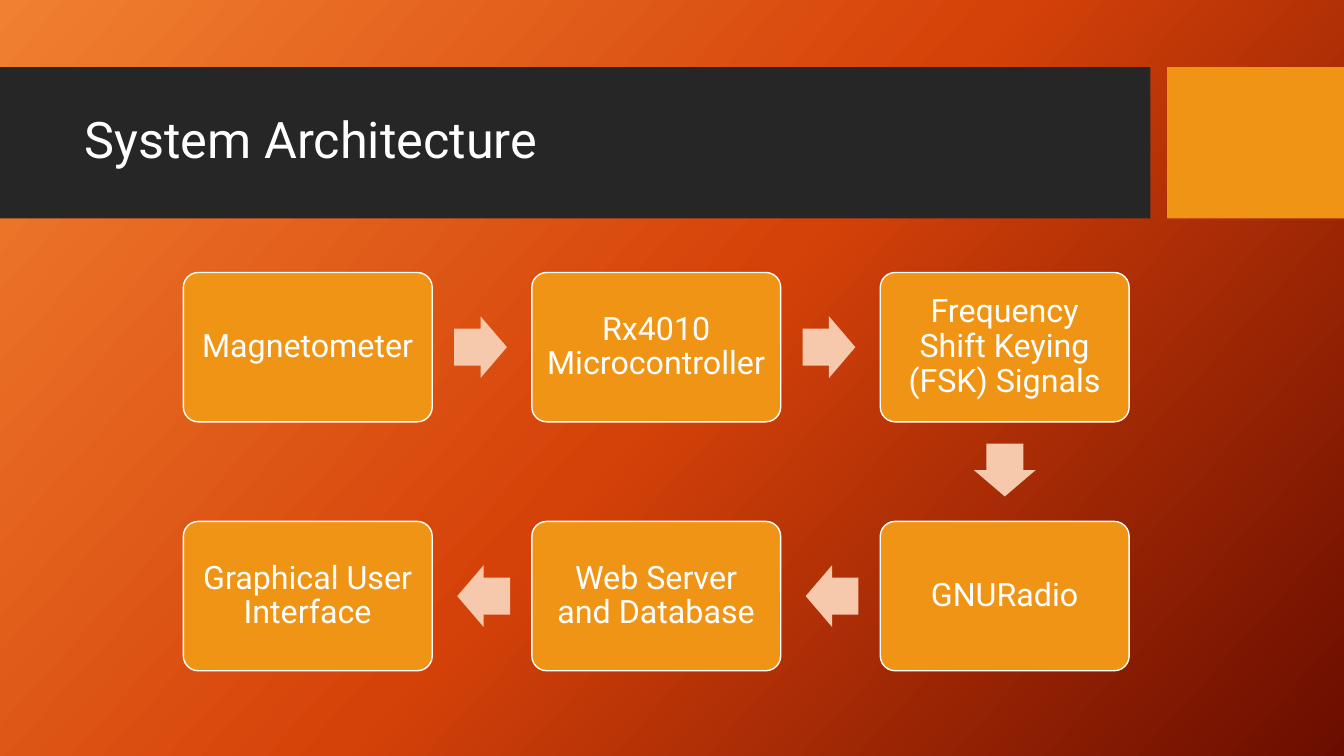
"""Build the System Architecture slide: a six-step flow that snakes across two rows."""
from copy import deepcopy
from dataclasses import dataclass

from pptx import Presentation
from pptx.dml.color import RGBColor
from pptx.enum.shapes import MSO_SHAPE
from pptx.enum.text import MSO_ANCHOR, PP_ALIGN
from pptx.util import Pt

RECTANGLE = MSO_SHAPE.RECTANGLE
ROUNDED = MSO_SHAPE.ROUNDED_RECTANGLE
ARROW = MSO_SHAPE.RIGHT_ARROW
MIDDLE = MSO_ANCHOR.MIDDLE
LEFT, CENTER = PP_ALIGN.LEFT, PP_ALIGN.CENTER

TITLE = "System Architecture"
STEPS = [
    ("Magnetometer", 0, 0),
    ("Rx4010 Microcontroller", 1, 0),
    ("Frequency Shift Keying (FSK) Signals", 2, 0),
    ("GNURadio", 2, 1),
    ("Web Server and Database", 1, 1),
    ("Graphical User Interface", 0, 1),
]


@dataclass(frozen=True)
class Theme:
    """Colours, font and type sizes of the slide."""
    banner: str = "262626"
    accent: str = "F09415"
    arrow: str = "F6C8AC"
    white: str = "FFFFFF"
    gradient: tuple = ((0, "F18031"), (0.5, "D54209"), (1, "6A0D00"))
    gradient_angle: int = 42
    font: str = "Roboto"
    title_size: int = 36
    step_size: int = 23


THEME = Theme()
SLIDE_WIDTH, SLIDE_HEIGHT = 960, 540
BANNER_TOP, BANNER_HEIGHT = 48, 108
BANNER_WIDTH, TAB_LEFT = 821.8, 833.6
TITLE_BOX = (53.3, 59.2, 756.7, 85)
BOX_WIDTH, BOX_HEIGHT = 177.8, 106.7
FIRST_CENTER_X, FIRST_CENTER_Y = 219.9, 248
COLUMN_PITCH, ROW_PITCH = 248.9, 177.8
ARROW_LENGTH, ARROW_BREADTH, ARROW_GAP = 37.7, 44.1, 15.6
TURNS = {(1, 0): 0, (0, 1): 90, (-1, 0): 180}


def paint_background(slide):
    """Fill the slide with the three-stop gradient."""
    fill = slide.background.fill
    fill.gradient()
    stop_list = slide.element.xpath(".//p:bg//a:gsLst")[0]
    stop_list.append(deepcopy(stop_list[-1]))
    for stop, (position, color) in zip(fill.gradient_stops, THEME.gradient):
        stop.position = position
        stop.color.rgb = RGBColor.from_string(color)
    fill.gradient_angle = 360 - THEME.gradient_angle


def add_block(slide, kind, left, top, width, height, color, outline=None):
    """Add a flat preset shape measured in points."""
    shape = slide.shapes.add_shape(kind, Pt(left), Pt(top), Pt(width), Pt(height))
    shape.shadow.inherit = False
    shape.fill.solid()
    shape.fill.fore_color.rgb = RGBColor.from_string(color)
    if outline:
        shape.line.color.rgb = RGBColor.from_string(outline)
        shape.line.width = Pt(1)
    else:
        shape.line.fill.background()
    return shape


def write(shape, text, size, alignment):
    """Put one formatted paragraph in a shape."""
    frame = shape.text_frame
    frame.text = text
    frame.word_wrap = True
    frame.vertical_anchor = MIDDLE
    frame.margin_left = frame.margin_right = Pt(7.2)
    paragraph = frame.paragraphs[0]
    paragraph.alignment = alignment
    paragraph.line_spacing = 0.9
    paragraph.font.name = THEME.font
    paragraph.font.size = Pt(size)
    paragraph.font.color.rgb = RGBColor.from_string(THEME.white)


def add_header(slide):
    """Add the banner, the tab beside it and the title on top."""
    add_block(slide, RECTANGLE, 0, BANNER_TOP, BANNER_WIDTH, BANNER_HEIGHT, THEME.banner)
    add_block(slide, RECTANGLE, TAB_LEFT, BANNER_TOP, SLIDE_WIDTH - TAB_LEFT,
              BANNER_HEIGHT, THEME.accent)
    title = slide.shapes.title
    title.left, title.top, title.width, title.height = map(Pt, TITLE_BOX)
    write(title, TITLE, size=THEME.title_size, alignment=LEFT)
    title.element.getparent().append(title.element)


def step_center(column, row):
    """Return the centre of a grid cell."""
    return FIRST_CENTER_X + column * COLUMN_PITCH, FIRST_CENTER_Y + row * ROW_PITCH


def add_step(slide, text, column, row):
    """Add one rounded box of the flow."""
    x, y = step_center(column, row)
    box = add_block(slide, ROUNDED, x - BOX_WIDTH / 2, y - BOX_HEIGHT / 2,
                    BOX_WIDTH, BOX_HEIGHT, THEME.accent, outline=THEME.white)
    box.adjustments[0] = 0.1
    write(box, text, size=THEME.step_size, alignment=CENTER)


def add_flow_arrow(slide, start, end):
    """Add the arrow that leaves one step towards the next."""
    _, column, row = start
    across, down = end[1] - column, end[2] - row
    x, y = step_center(column, row)
    reach = ARROW_GAP + ARROW_LENGTH / 2
    x += across * (BOX_WIDTH / 2 + reach)
    y += down * (BOX_HEIGHT / 2 + reach)
    arrow = add_block(slide, ARROW, x - ARROW_LENGTH / 2, y - ARROW_BREADTH / 2,
                      ARROW_LENGTH, ARROW_BREADTH, THEME.arrow)
    arrow.adjustments[0] = 0.6
    arrow.adjustments[1] = 0.5
    arrow.rotation = TURNS[across, down]


def main():
    """Assemble and save the presentation."""
    presentation = Presentation()
    presentation.slide_width, presentation.slide_height = Pt(SLIDE_WIDTH), Pt(SLIDE_HEIGHT)
    slide = presentation.slides.add_slide(presentation.slide_layouts[5])
    paint_background(slide)
    add_header(slide)
    for step in STEPS:
        add_step(slide, *step)
    for start, end in zip(STEPS, STEPS[1:]):
        add_flow_arrow(slide, start, end)
    presentation.save("out.pptx")


if __name__ == "__main__":
    main()
